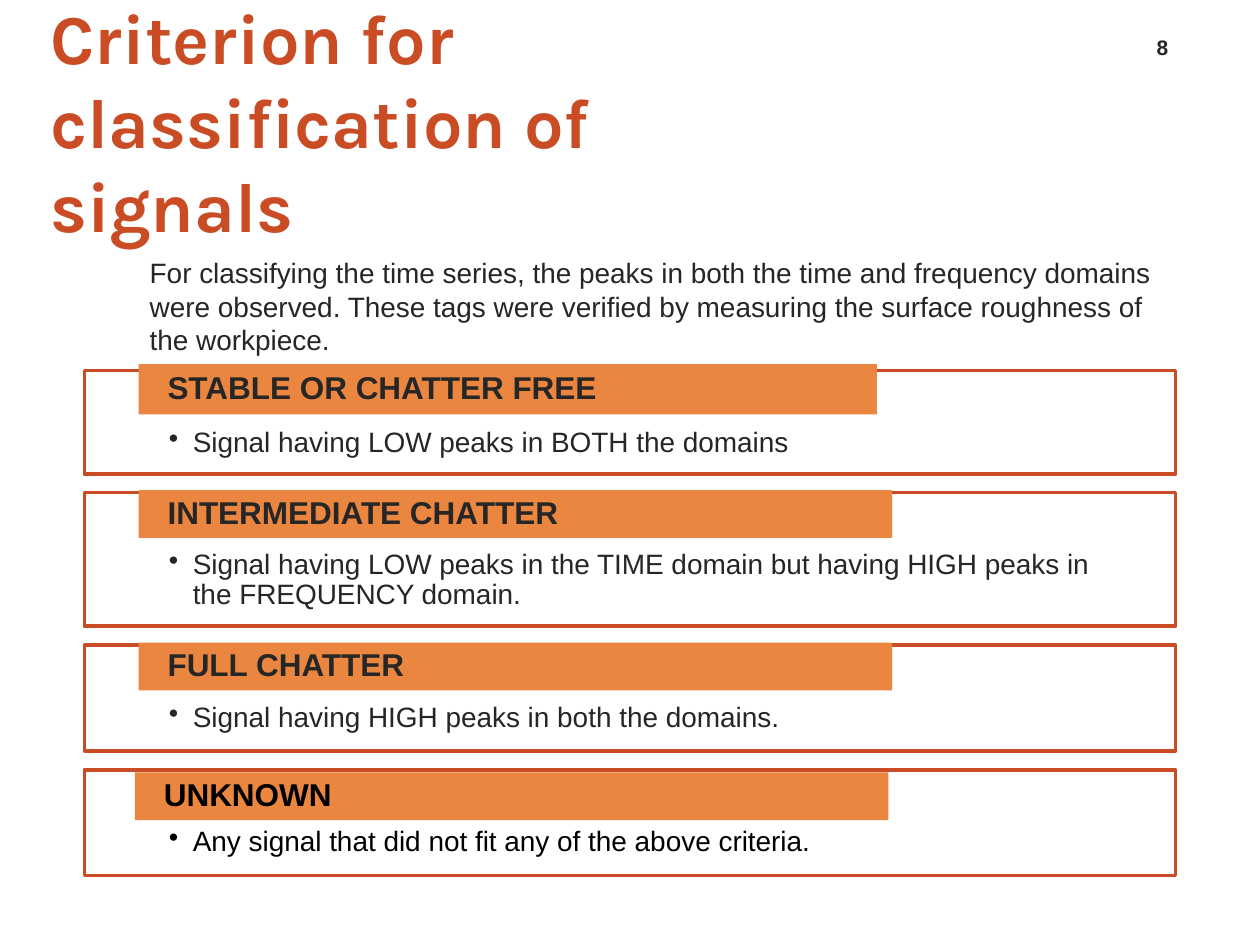
from typing import NamedTuple

from lxml.etree import SubElement
from pptx import Presentation
from pptx.dml.color import RGBColor
from pptx.enum.shapes import MSO_SHAPE
from pptx.enum.text import MSO_ANCHOR, PP_ALIGN
from pptx.oxml.ns import qn
from pptx.shapes.autoshape import Shape
from pptx.slide import Slide
from pptx.util import Inches, Pt

RUST = RGBColor(0xC9, 0x4C, 0x25)
ORANGE = RGBColor(0xEA, 0x86, 0x40)
CHARCOAL = RGBColor(0x26, 0x26, 0x26)
BLACK = RGBColor(0, 0, 0)


class Box(NamedTuple):
    left: float
    top: float
    width: float
    height: float


class Insets(NamedTuple):
    left: float = 0.1
    top: float = 0.05
    right: float = 0.1
    bottom: float = 0.05


class TextStyle(NamedTuple):
    size: int
    color: RGBColor = CHARCOAL
    bold: bool = False
    font: str = "Arial"
    anchor: MSO_ANCHOR = MSO_ANCHOR.TOP
    align: PP_ALIGN = PP_ALIGN.LEFT
    line_spacing: float = 1.0


class Criterion(NamedTuple):
    heading: str
    description: str
    frame: Box
    bar: Box
    color: RGBColor = CHARCOAL


CRITERIA = [
    Criterion("STABLE OR CHATTER FREE", "Signal having LOW peaks in BOTH the domains",
              Box(0.67, 2.94, 8.66, 0.82), Box(1.1, 2.89, 5.86, 0.4)),
    Criterion("INTERMEDIATE CHATTER",
              "Signal having LOW peaks in the TIME domain but having HIGH peaks in "
              "the FREQUENCY domain.",
              Box(0.67, 3.91, 8.66, 1.06), Box(1.1, 3.89, 5.98, 0.38)),
    Criterion("FULL CHATTER", "Signal having HIGH peaks in both the domains.",
              Box(0.67, 5.12, 8.66, 0.84), Box(1.1, 5.1, 5.98, 0.38)),
    Criterion("UNKNOWN", "Any signal that did not fit any of the above criteria.",
              Box(0.67, 6.11, 8.66, 0.84), Box(1.07, 6.13, 5.98, 0.38), BLACK),
]


def write_text(shape: Shape, text: str, style: TextStyle, insets: Insets = Insets(),
               indent: float = 0, bullet: bool = False) -> None:
    """Fill a shape with one styled paragraph; a bullet hangs in the indent."""
    frame = shape.text_frame
    frame.word_wrap = True
    frame.vertical_anchor = style.anchor
    frame.margin_left, frame.margin_top, frame.margin_right, frame.margin_bottom = map(
        Inches, insets)
    paragraph = frame.paragraphs[0]
    paragraph.text = text
    paragraph.alignment = style.align
    paragraph.line_spacing = style.line_spacing
    font = paragraph.font
    font.name, font.size, font.bold = style.font, Pt(style.size), style.bold
    font.color.rgb = style.color
    properties = paragraph._p.get_or_add_pPr()
    properties.set("marL", str(Inches(indent)))
    if bullet:
        properties.set("indent", str(-Inches(indent)))
        mark = SubElement(properties, qn("a:buChar"))
        mark.set("char", "•")
        properties.insert(properties.index(properties.find(qn("a:defRPr"))), mark)


def add_text(slide: Slide, box: Box, text: str, style: TextStyle,
             insets: Insets = Insets(), indent: float = 0) -> None:
    shape = slide.shapes.add_textbox(*map(Inches, box))
    write_text(shape, text, style, insets, indent)


def add_rectangle(slide: Slide, box: Box) -> Shape:
    shape = slide.shapes.add_shape(MSO_SHAPE.RECTANGLE, *map(Inches, box))
    shape.shadow.inherit = False
    return shape


def add_criterion(slide: Slide, criterion: Criterion) -> None:
    """Draw an outlined description with its heading bar on the top edge."""
    frame = add_rectangle(slide, criterion.frame)
    frame.fill.background()
    frame.line.color.rgb = RUST
    frame.line.width = Pt(2)
    write_text(frame, criterion.description,
               TextStyle(16, criterion.color, line_spacing=0.9),
               Insets(0.67, 0.46, 0.67, 0.12), indent=0.19, bullet=True)

    bar = add_rectangle(slide, criterion.bar)
    bar.fill.solid()
    bar.fill.fore_color.rgb = ORANGE
    bar.line.fill.background()
    write_text(bar, criterion.heading,
               TextStyle(18, criterion.color, bold=True, anchor=MSO_ANCHOR.MIDDLE,
                         line_spacing=0.9),
               Insets(0.23, 0, 0.23, 0))


def main() -> None:
    presentation = Presentation()
    presentation.slide_width, presentation.slide_height = Inches(10), Inches(7.5)
    slide = presentation.slides.add_slide(presentation.slide_layouts[6])

    add_text(slide, Box(0.2, 0.52, 6.39, 0.87), "Criterion for classification of signals",
             TextStyle(40, RUST, bold=True, font="Karla", anchor=MSO_ANCHOR.MIDDLE),
             Insets(left=0, right=0.15), indent=0.2)
    add_text(slide, Box(0.5, 1.98, 9, 5),
             "For classifying the time series, the peaks in both the time and frequency "
             "domains were observed. These tags were verified by measuring the surface "
             "roughness of the workpiece.",
             TextStyle(16), indent=0.59)
    add_text(slide, Box(8.95, 0.19, 0.55, 0.33), "8",
             TextStyle(12, bold=True, anchor=MSO_ANCHOR.BOTTOM, align=PP_ALIGN.CENTER))
    for criterion in CRITERIA:
        add_criterion(slide, criterion)

    presentation.save("out.pptx")


if __name__ == "__main__":
    main()
